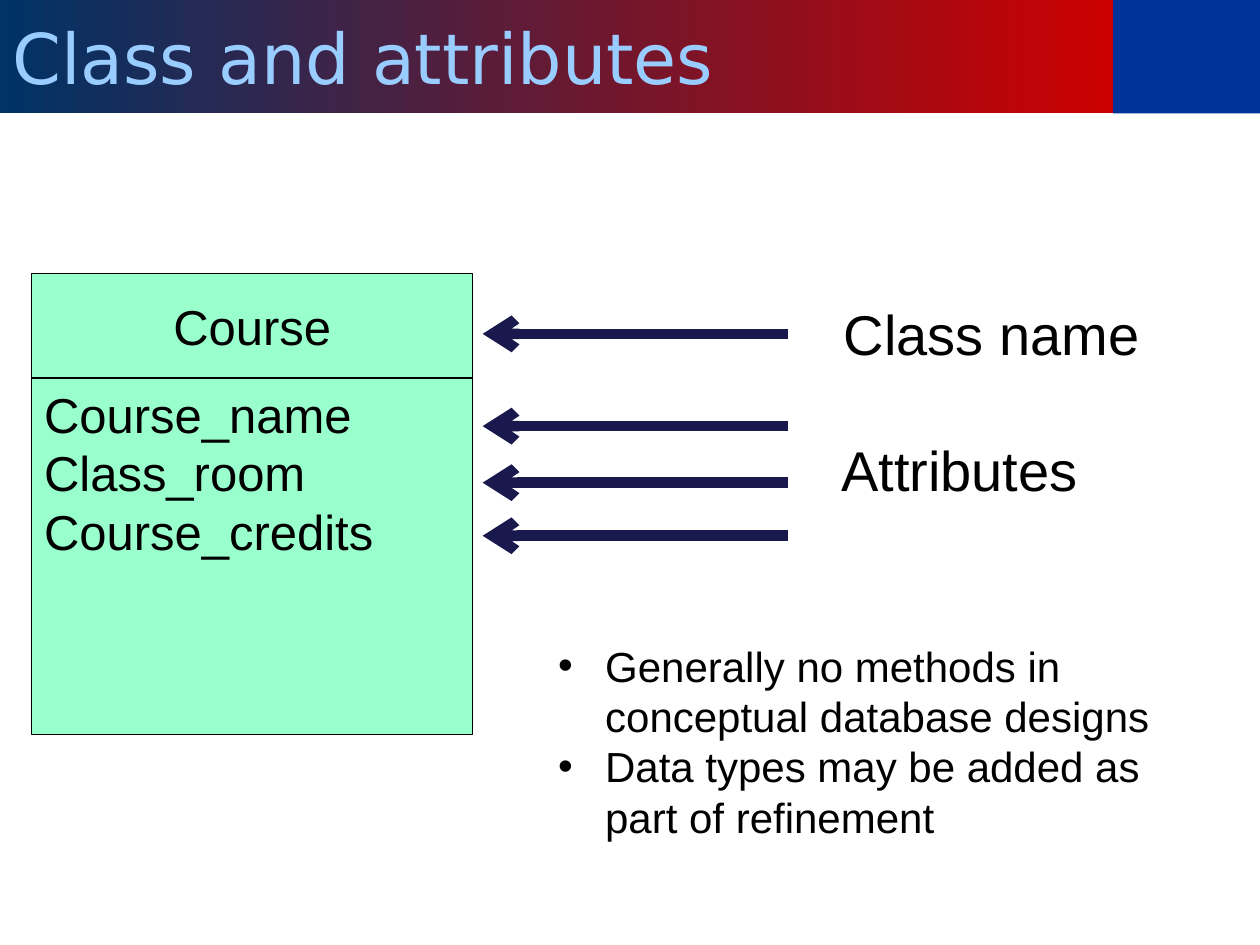
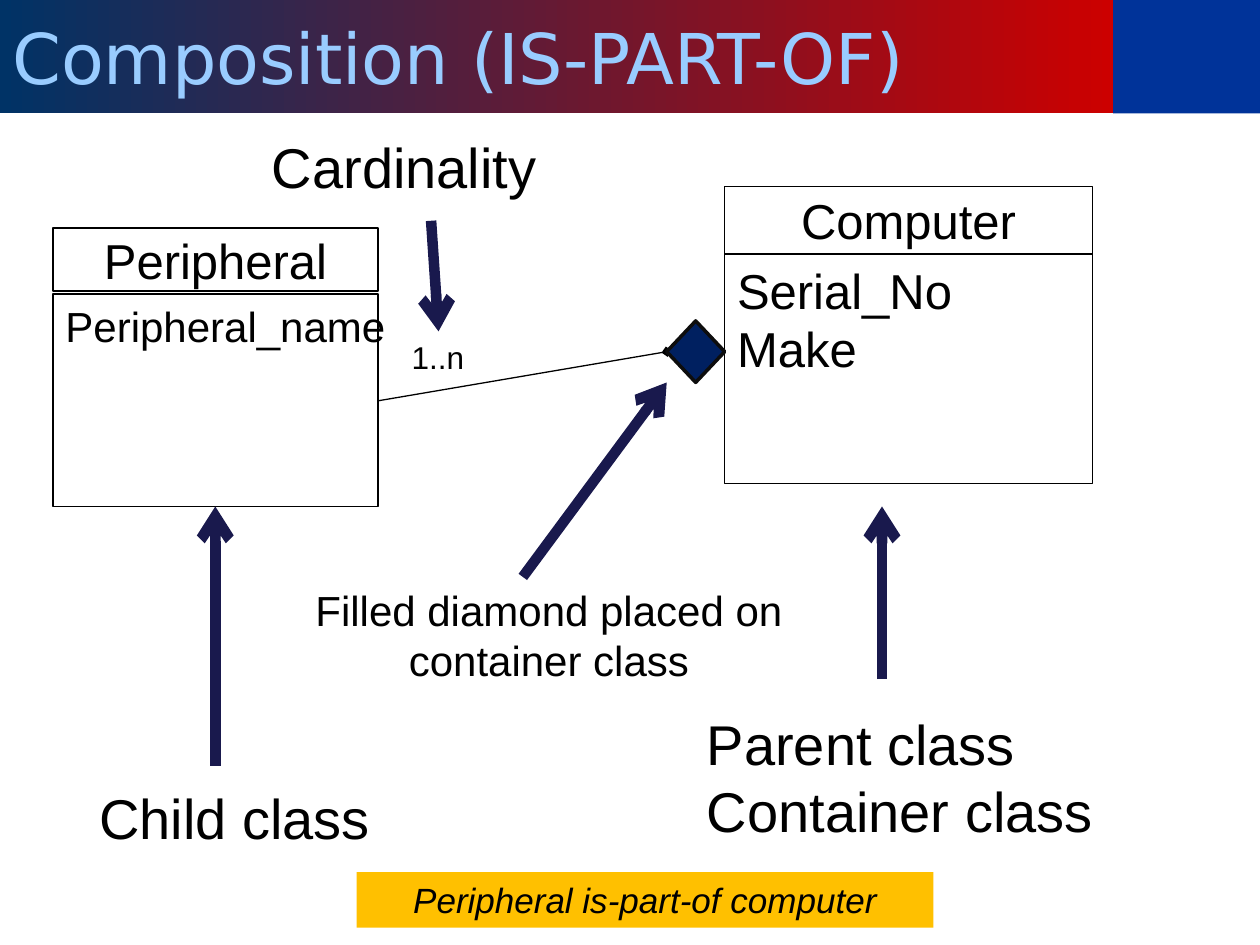
from collections import namedtuple

from lxml.etree import SubElement
from pptx import Presentation
from pptx.dml.color import RGBColor
from pptx.enum.shapes import MSO_CONNECTOR as Connector, MSO_SHAPE as Preset
from pptx.enum.text import MSO_ANCHOR as Anchor, MSO_AUTO_SIZE as AutoSize, PP_ALIGN as Align
from pptx.oxml.ns import qn
from pptx.util import Cm, Pt

BLACK = RGBColor(0x00, 0x00, 0x00)
WHITE = RGBColor(0xFF, 0xFF, 0xFF)
BAND_BLUE = RGBColor(0x00, 0x33, 0x99)
TITLE_START = RGBColor(0x00, 0x33, 0x66)
TITLE_END = RGBColor(0xCC, 0x00, 0x00)
TITLE_TEXT = RGBColor(0x99, 0xCC, 0xFF)
MINT = RGBColor(0x99, 0xFF, 0xCC)
ARROW_NAVY = RGBColor(0x19, 0x19, 0x4D)
DIAMOND_NAVY = RGBColor(0x00, 0x20, 0x60)
DIAMOND_EDGE = RGBColor(0x0D, 0x0D, 0x0D)
AMBER = RGBColor(0xFF, 0xC0, 0x00)

BODY_FONT, TITLE_FONT = "Arial", "DejaVu Sans"
PAGE_WIDTH, PAGE_HEIGHT = 25.4, 19.05
BAND_HEIGHT, BAND_SPLIT = 2.29, 22.44

Box = namedtuple("Box", "left top width height")


def in_cm(box):
    return [Cm(length) for length in box]


def write(shape, lines, size, color=BLACK, font=BODY_FONT, align=Align.LEFT,
          anchor=Anchor.TOP, wrap=False, grow=False, italic=None):
    frame = shape.text_frame
    frame.text = "\n".join(lines)
    frame.word_wrap = wrap
    frame.vertical_anchor = anchor
    frame.auto_size = AutoSize.SHAPE_TO_FIT_TEXT if grow else AutoSize.NONE
    for para in frame.paragraphs:
        para.alignment = align
        para.font.name = font
        para.font.size = Pt(size)
        para.font.color.rgb = color
        para.font.italic = italic
    return frame


def add_panel(page, box, fill=None, line=None, line_width=0.75, preset=Preset.RECTANGLE):
    panel = page.shapes.add_shape(preset, *in_cm(box))
    panel.shadow.inherit = False
    if fill is not None:
        panel.fill.solid()
        panel.fill.fore_color.rgb = fill
    if line is None:
        panel.line.fill.background()
    else:
        panel.line.color.rgb = line
        panel.line.width = Pt(line_width)
    return panel


def add_title(page, text):
    add_panel(page, Box(BAND_SPLIT, 0, PAGE_WIDTH - BAND_SPLIT, BAND_HEIGHT), BAND_BLUE)
    band = add_panel(page, Box(0, 0, BAND_SPLIT, BAND_HEIGHT))
    band.fill.gradient()
    band.fill.gradient_angle = 0
    for stop, color in zip(band.fill.gradient_stops, (TITLE_START, TITLE_END)):
        stop.color.rgb = color
    write(band, [text], 40, TITLE_TEXT, TITLE_FONT, anchor=Anchor.MIDDLE, wrap=True)


def add_label(page, box, *lines, size=32, **style):
    label = page.shapes.add_textbox(*in_cm(box))
    return write(label, lines, size, grow=True, **style)


def add_bullets(page, box, items, indent):
    for para in add_label(page, box, *items, size=24, wrap=True).paragraphs:
        props = para._p.get_or_add_pPr()
        props.set("marL", str(Cm(indent)))
        props.set("indent", str(-Cm(indent)))
        SubElement(props, qn("a:buFont"), typeface=BODY_FONT)
        SubElement(props, qn("a:buChar"), char="•")


def add_line(page, start, end, color=ARROW_NAVY, width=6, tip="tailEnd", tip_type="arrow"):
    ends = [Cm(length) for length in (*start, *end)]
    line = page.shapes.add_connector(Connector.STRAIGHT, *ends)
    line.line.color.rgb = color
    line.line.width = Pt(width)
    SubElement(line.line._get_or_add_ln(), qn("a:" + tip), type=tip_type)
    SubElement(line._element.spPr, qn("a:effectLst"))


def add_class(page, box, name, attributes, header, fill=WHITE, gap=0, size=28):
    head = add_panel(page, box._replace(height=header), fill, BLACK)
    write(head, [name], 28, align=Align.CENTER, anchor=Anchor.MIDDLE)
    offset = header + gap
    body = add_panel(page, box._replace(top=box.top + offset, height=box.height - offset),
                     fill, BLACK)
    write(body, attributes, size)


def build_attributes(page):
    add_title(page, "Class and attributes")
    course = Box(0.64, 5.51, 8.89, 9.3)
    add_class(page, course, "Course", ["Course_name", "Class_room", "Course_credits"],
              header=2.11, fill=MINT)
    add_label(page, Box(16.76, 5.92, 6.53, 1.63), "Class name")
    add_label(page, Box(16.71, 8.66, 5.33, 1.63), "Attributes")
    for height in (6.73, 8.59, 9.73, 10.8):
        add_line(page, (15.88, height), (course.left + course.width + 0.2, height))
    add_bullets(page, Box(11, 12.78, 12.85, 4.37),
                ["Generally no methods in conceptual database designs",
                 "Data types may be added as part of refinement"], indent=0.95)


def build_composition(page):
    add_title(page, "Composition (IS-PART-OF)")
    computer = Box(14.61, 3.76, 7.41, 5.99)
    peripheral = Box(1.07, 4.6, 6.55, 5.61)
    diamond = Box(computer.left - 1.17, 6.47, 1.17, 1.24)
    pointer_end = peripheral.top + peripheral.height
    add_class(page, computer, "Computer", ["Serial_No", "Make"], header=1.36)
    add_class(page, peripheral, "Peripheral", ["Peripheral_name"], header=1.27, gap=0.06, size=24)
    add_line(page, (diamond.left, diamond.top + diamond.height / 2),
             (peripheral.left + peripheral.width, 8.08), BLACK, 0.75, "headEnd", "diamond")
    add_label(page, Box(8.05, 6.68, 1.57, 1.02), "1..n", size=18)
    add_panel(page, diamond, DIAMOND_NAVY, DIAMOND_EDGE, 2, Preset.DIAMOND)
    add_label(page, Box(14, 14.17, 8.36, 3), "Parent class", "Container class")
    add_line(page, (4.34, 15.44), (4.34, pointer_end))
    add_line(page, (17.78, 13.69), (17.78, pointer_end))
    add_label(page, Box(1.75, 15.67, 6.02, 1.63), "Child class")
    add_line(page, (10.54, 11.63), (diamond.left, diamond.top + diamond.height))
    add_label(page, Box(4.78, 11.66, 12.57, 2.31), "Filled diamond placed on container class",
              size=24, align=Align.CENTER, wrap=True)
    add_line(page, (8.69, 4.45), (8.84, 6.68))
    add_label(page, Box(5.23, 2.54, 5.89, 1.63), "Cardinality")
    banner = add_panel(page, Box(7.19, 17.58, 11.63, 1.12), AMBER)
    write(banner, ["Peripheral is-part-of computer"], 20, align=Align.CENTER,
          wrap=True, grow=True, italic=True)


deck = Presentation()
deck.slide_width, deck.slide_height = Cm(PAGE_WIDTH), Cm(PAGE_HEIGHT)
for build in (build_attributes, build_composition):
    build(deck.slides.add_slide(deck.slide_layouts[6]))
deck.save("out.pptx")
